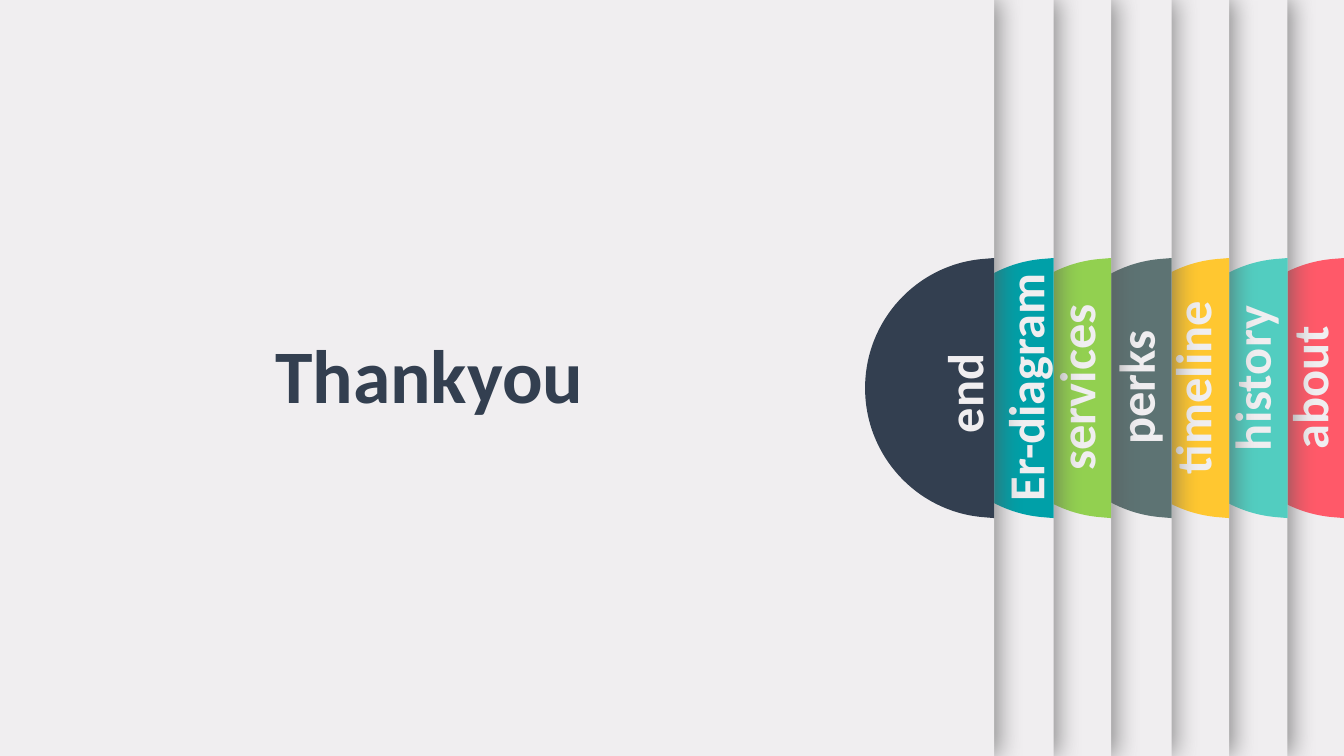
from lxml.etree import SubElement
from pptx import Presentation
from pptx.dml.color import RGBColor
from pptx.enum.shapes import MSO_SHAPE
from pptx.enum.text import MSO_AUTO_SIZE, PP_ALIGN
from pptx.oxml.ns import qn
from pptx.util import Inches, Pt

COLORS = {
    "paper": "F0EEF0", "shadow": "595959", "navy": "333F50", "teal": "00A0A8",
    "green": "92D050", "slate": "5D7373", "yellow": "FFC730", "mint": "52CDC0",
    "red": "FF5969",
}
TAB_TOP, TAB_WIDTH, TAB_HEIGHT = 2.56, 1.28, 2.58
# Points of a tab, measured from its top left corner
CORNERS = [(1.28, 0), (1.28, 2.58), (1.16, 2.57), (0, 1.29), (1.16, 0.01)]
CURVES = [
    [(0.51, 2.51), (0, 1.96), (0, 1.29)],
    [(0, 0.62), (0.51, 0.07), (1.16, 0.01)],
]

# label, colour, right edge, label left, label top, label length
TABS = [
    ("about", "red", 13.33, 11.89, 3.49, 2.18),
    ("history", "mint", 12.77, 11.32, 3.4, 2.18),
    ("timeline", "yellow", 12.19, 10.73, 3.49, 2.18),
    ("perks", "slate", 11.62, 10.17, 3.49, 2.18),
    ("services", "green", 11.02, 9.58, 3.49, 2.18),
    ("Er-diagram", "teal", 10.45, 8.68, 3.49, 2.97),
    ("end", "navy", 9.86, 8.47, 3.55, 2.18),
]


def paint(sp, color):
    sp.shadow.inherit = False
    sp.fill.solid()
    sp.fill.fore_color.rgb = RGBColor.from_string(COLORS[color])
    sp.line.fill.background()


def add_text(text, left, top, width, height, size, color, align=None):
    box = s.shapes.add_textbox(Inches(left), Inches(top), Inches(width), Inches(height))
    tf = box.text_frame
    tf.word_wrap = True
    tf.auto_size = MSO_AUTO_SIZE.SHAPE_TO_FIT_TEXT
    p = tf.paragraphs[0]
    p.alignment = align
    r = p.add_run()
    r.text = text
    for name, value in {"name": "Calibri", "size": Pt(size), "bold": True}.items():
        setattr(r.font, name, value)
    r.font.color.rgb = RGBColor.from_string(COLORS[color])
    return box


prs = Presentation()
prs.slide_width, prs.slide_height = Inches(13.33), Inches(7.5)
s = prs.slides.add_slide(prs.slide_layouts[6])
s.background.fill.solid()
s.background.fill.fore_color.rgb = RGBColor.from_string(COLORS["paper"])

for label, color, right, label_left, label_top, length in TABS:
    panel = s.shapes.add_shape(MSO_SHAPE.RECTANGLE, 0, 0, Inches(right), prs.slide_height)
    paint(panel, "paper")
    effects = panel._element.spPr.find(qn("a:effectLst"))
    shadow = SubElement(effects, qn("a:outerShdw"), blurRad=str(Pt(17)), dist=str(Pt(3)),
                        dir="0", algn="l", rotWithShape="0")
    tone = SubElement(shadow, qn("a:srgbClr"), val=COLORS["shadow"])
    SubElement(tone, qn("a:alpha"), val="65000")

    points = [(Inches(right - TAB_WIDTH + x), Inches(TAB_TOP + y)) for x, y in CORNERS]
    outline = s.shapes.build_freeform(*points[0])
    outline.add_line_segments(points[1:], close=True)
    tab = outline.convert_to_shape()
    paint(tab, color)
    # The last two straight sides become the rounded edge
    sides = list(tab._element.iter(qn("a:lnTo")))[2:4]
    for side, curve in zip(sides, CURVES):
        bezier = SubElement(side.getparent(), qn("a:cubicBezTo"))
        for x, y in curve:
            SubElement(bezier, qn("a:pt"), x=str(Inches(x)), y=str(Inches(y)))
        side.getparent().replace(side, bezier)

    caption = add_text(label, label_left, label_top, length, 0.71, 36, "paper", PP_ALIGN.CENTER)
    caption.rotation = 270

add_text("Thankyou", 2.63, 3.2, 3.67, 1.01, 54, "navy")

prs.save("out.pptx")
